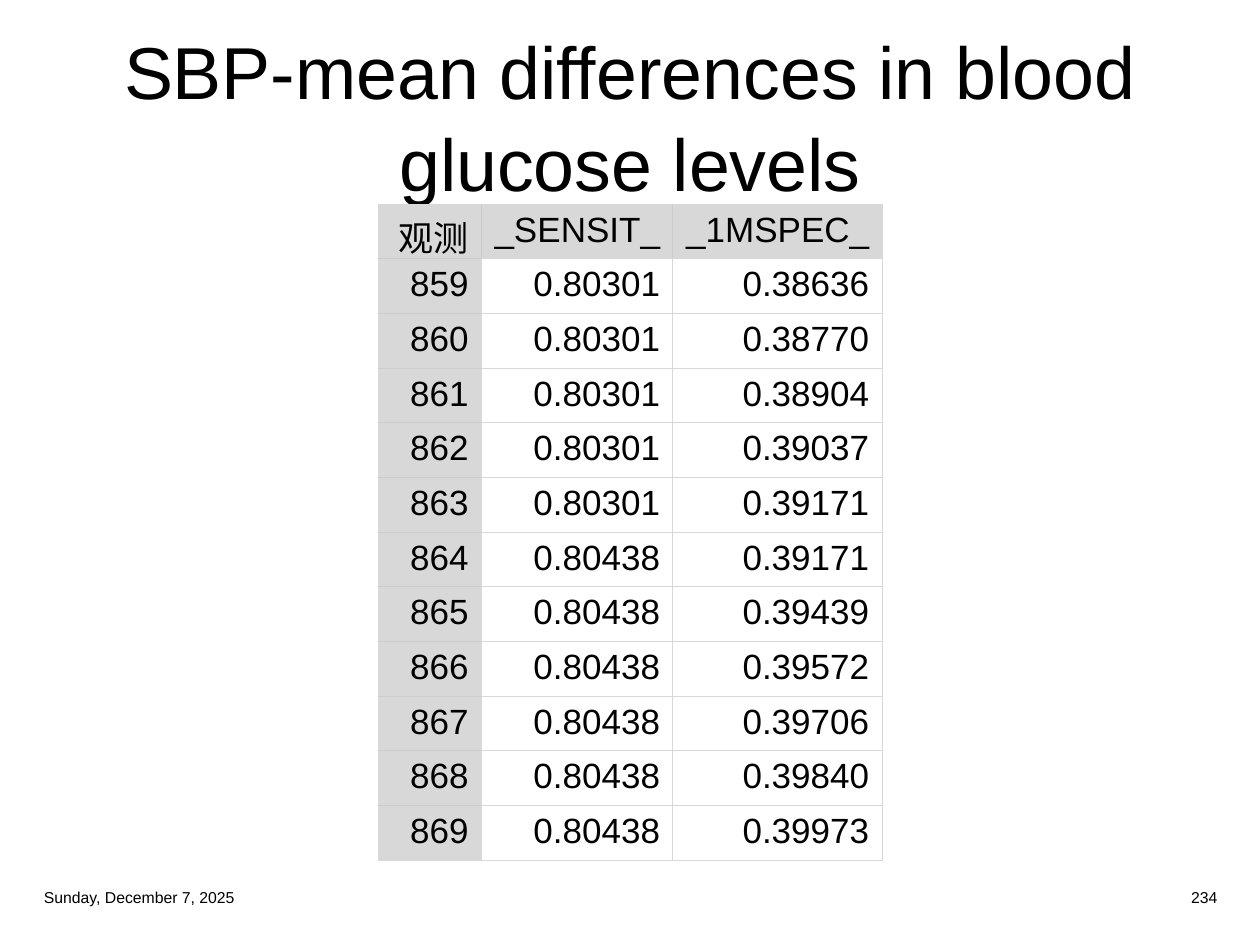
from dataclasses import dataclass

from lxml.etree import SubElement
from pptx import Presentation
from pptx.dml.color import RGBColor
from pptx.enum.text import MSO_ANCHOR as Anchor, PP_ALIGN as Align
from pptx.oxml.ns import qn
from pptx.util import Inches, Pt


@dataclass(frozen=True)
class Theme:
    font: str = "Arial"
    ink: str = "000000"
    shade: str = "D8D8D8"
    inner_line: str = "CCCCCC"
    line_width: float = 0.5
    title: int = 42
    body: int = 20
    footer: int = 9


THEME = Theme()
TITLE = "SBP-mean differences in blood\vglucose levels"
DATE = "Sunday, December 7, 2025"
PAGE = "234"
HEADER = ("观测", "_SENSIT_", "_1MSPEC_")
FIRST_OBS = 859
SENSITIVITY = ["0.80301"] * 5 + ["0.80438"] * 6
ONE_MINUS_SPEC = [
    "0.38636", "0.38770", "0.38904", "0.39037", "0.39171", "0.39171",
    "0.39439", "0.39572", "0.39706", "0.39840", "0.39973",
]
COL_WIDTHS = (0.82, 1.52, 1.66)
TABLE_LEFT, TABLE_TOP, TABLE_HEIGHT = 3, 1.62, 5


def style_text(tf, size, align):
    for p in tf.paragraphs:
        p.alignment = align
        p.font.size = Pt(size)
        for r in p.runs:
            r.font.name = THEME.font
            r.font.size = Pt(size)
            r.font.color.rgb = RGBColor.from_string(THEME.ink)


def add_text(s, text, box, size, align):
    tf = s.shapes.add_textbox(*map(Inches, box)).text_frame
    tf.word_wrap = True
    tf.vertical_anchor = Anchor.MIDDLE
    tf.text = text
    style_text(tf, size, align)
    return tf


def set_borders(cell, colors):
    tc_pr = cell._tc.get_or_add_tcPr()
    for i, (side, color) in enumerate(colors.items()):
        ln = SubElement(tc_pr, qn(f"a:ln{side}"), w=str(Pt(THEME.line_width)))
        fill = SubElement(ln, qn("a:solidFill"))
        SubElement(fill, qn("a:srgbClr"), val=color)
        tc_pr.remove(ln)
        tc_pr.insert(i, ln)


def add_table(s, rows):
    n_rows, n_cols = len(rows), len(COL_WIDTHS)
    box = (TABLE_LEFT, TABLE_TOP, sum(COL_WIDTHS), TABLE_HEIGHT)
    table = s.shapes.add_table(n_rows, n_cols, *map(Inches, box)).table
    table.first_row = table.horz_banding = False
    for col, width in zip(table.columns, COL_WIDTHS):
        col.width = Inches(width)
    for i, row in enumerate(rows):
        table.rows[i].height = Inches(TABLE_HEIGHT / n_rows)
        for j, value in enumerate(row):
            cell = table.cell(i, j)
            cell.text = value
            style_text(cell.text_frame, THEME.body, Align.RIGHT)
            shaded = i == 0 or j == 0
            if shaded:
                cell.fill.solid()
                cell.fill.fore_color.rgb = RGBColor.from_string(THEME.shade)
            else:
                cell.fill.background()
            outer = {"L": j == 0, "R": j == n_cols - 1, "T": i == 0, "B": i == n_rows - 1}
            set_borders(cell, {
                side: THEME.inner_line if shaded and not edge else THEME.shade
                for side, edge in outer.items()
            })


def main():
    prs = Presentation()
    prs.slide_width, prs.slide_height = Inches(10), Inches(7.5)
    s = prs.slides.add_slide(prs.slide_layouts[6])
    title = add_text(s, TITLE, (0.25, 0.25, 9.5, 1.31), THEME.title, Align.CENTER)
    title.paragraphs[0].line_spacing = 1.04
    observations = [str(FIRST_OBS + i) for i in range(len(SENSITIVITY))]
    add_table(s, [HEADER, *zip(observations, SENSITIVITY, ONE_MINUS_SPEC)])
    add_text(s, DATE, (0.25, 6.99, 2.38, 0.26), THEME.footer, Align.LEFT)
    add_text(s, PAGE, (7.38, 6.99, 2.38, 0.26), THEME.footer, Align.RIGHT)
    prs.save("out.pptx")


if __name__ == "__main__":
    main()
